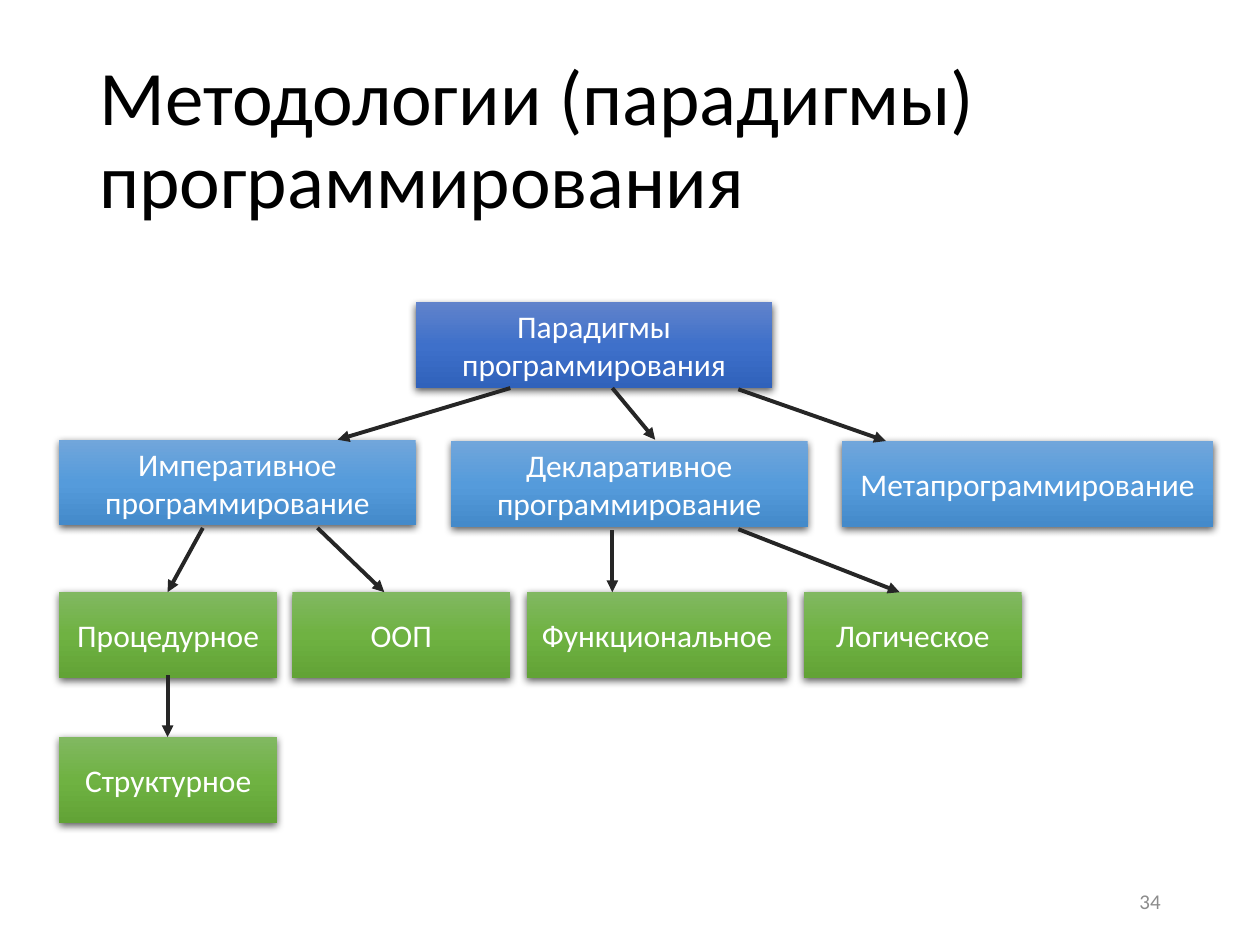
"""Build a slide with a tree of programming paradigms."""
from typing import NamedTuple

from pptx import Presentation
from pptx.dml.color import RGBColor
from pptx.enum.shapes import MSO_CONNECTOR, MSO_SHAPE
from pptx.enum.text import MSO_ANCHOR, PP_ALIGN
from pptx.oxml import parse_xml
from pptx.oxml.ns import nsdecls, qn
from pptx.util import Inches, Pt

STRAIGHT = MSO_CONNECTOR.STRAIGHT
RECTANGLE = MSO_SHAPE.RECTANGLE
MIDDLE = MSO_ANCHOR.MIDDLE
LEFT, CENTER, RIGHT = PP_ALIGN.LEFT, PP_ALIGN.CENTER, PP_ALIGN.RIGHT

FONT = "Calibri"
BLACK, WHITE, GRAY, ARROW_COLOR = "000000", "FFFFFF", "8C8C8C", "262626"
ROOT_SHADES = ("6183CB", "3E70CA", "3062BB")
BRANCH_SHADES = ("71A6DB", "559BDB", "448ACA")
LEAF_SHADES = ("81B861", "6FB242", "62A336")
NODE_HEIGHT = 0.68
WIDE, NARROW = 2.83, 1.73
FIRST_LEFT = 0.47
LEAF_TOP = 4.7
LAST_TOP = 5.85


class Node(NamedTuple):
    """A labelled box of the tree."""
    label: str
    left: float
    top: float
    width: float
    shades: tuple[str, str, str]


class Arrow(NamedTuple):
    """An arrow between two points."""
    start_x: float
    start_y: float
    end_x: float
    end_y: float


NODES = (
    Node("Парадигмы программирования", 3.3, 2.4, WIDE, ROOT_SHADES),
    Node("Императивное программирование", FIRST_LEFT, 3.49, WIDE, BRANCH_SHADES),
    Node("Декларативное программирование", 3.58, 3.5, WIDE, BRANCH_SHADES),
    Node("Метапрограммирование", 6.68, 3.5, 2.95, BRANCH_SHADES),
    Node("Процедурное", FIRST_LEFT, LEAF_TOP, NARROW, LEAF_SHADES),
    Node("Структурное", FIRST_LEFT, LAST_TOP, NARROW, LEAF_SHADES),
    Node("ООП", 2.32, LEAF_TOP, NARROW, LEAF_SHADES),
    Node("Функциональное", 4.18, LEAF_TOP, 2.07, LEAF_SHADES),
    Node("Логическое", 6.38, LEAF_TOP, NARROW, LEAF_SHADES),
)

ARROWS = (
    Arrow(4.05, 3.08, 2.68, 3.49),
    Arrow(4.86, 3.08, 5.2, 3.49),
    Arrow(5.86, 3.09, 7.03, 3.5),
    Arrow(1.61, 4.19, 1.33, LEAF_TOP),
    Arrow(2.52, 4.19, 3.05, LEAF_TOP),
    Arrow(1.33, 5.36, 1.33, LAST_TOP),
    Arrow(4.86, 4.21, 4.86, LEAF_TOP),
    Arrow(5.86, 4.2, 7.14, LEAF_TOP),
)


def rgb(color: str) -> RGBColor:
    """Turn a hex string into a colour."""
    return RGBColor.from_string(color)


def write_text(box, text: str, size: float, color: str, align, spacing: float = 1.0) -> None:
    """Write one vertically centred paragraph into a shape."""
    frame = box.text_frame
    frame.word_wrap = True
    frame.vertical_anchor = MIDDLE
    para = frame.paragraphs[0]
    para.alignment = align
    para.line_spacing = spacing
    span = para.add_run()
    span.text = text
    span.font.name = FONT
    span.font.size = Pt(size)
    span.font.color.rgb = rgb(color)


def shade(box, shades: tuple[str, str, str]) -> None:
    """Give a shape a downward gradient and a soft shadow."""
    box.fill.background()
    box.line.fill.background()
    box.shadow.inherit = False
    stops = "".join(
        f'<a:gs pos="{index * 50000}"><a:srgbClr val="{color}"/></a:gs>'
        for index, color in enumerate(shades)
    )
    gradient = parse_xml(
        f'<a:gradFill {nsdecls("a")} rotWithShape="1"><a:gsLst>{stops}</a:gsLst>'
        '<a:lin ang="5400000" scaled="0"/></a:gradFill>'
    )
    shadow = parse_xml(
        f'<a:outerShdw {nsdecls("a")} blurRad="{Pt(4.5)}" dist="{Pt(1.5)}" dir="5400000" '
        'algn="ctr" rotWithShape="0"><a:srgbClr val="000000"><a:alpha val="63000"/>'
        '</a:srgbClr></a:outerShdw>'
    )
    properties = box._element.spPr
    properties.replace(properties.find(qn("a:noFill")), gradient)
    properties.find(qn("a:effectLst")).append(shadow)


def draw_node(page, node: Node) -> None:
    """Draw a labelled box."""
    box = page.shapes.add_shape(
        RECTANGLE, Inches(node.left), Inches(node.top), Inches(node.width), Inches(NODE_HEIGHT)
    )
    shade(box, node.shades)
    write_text(box, node.label, 18, WHITE, CENTER)


def draw_arrow(page, arrow: Arrow) -> None:
    """Draw a line with a triangular head at its end."""
    connector = page.shapes.add_connector(STRAIGHT, *(Inches(value) for value in arrow))
    connector.line.color.rgb = rgb(ARROW_COLOR)
    connector.line.width = Pt(2.25)
    connector.line._get_or_add_ln().append(
        parse_xml(f'<a:tailEnd {nsdecls("a")} type="triangle"/>')
    )
    connector._element.spPr.append(parse_xml(f'<a:effectLst {nsdecls("a")}/>'))


def main() -> None:
    """Build and save the deck."""
    deck = Presentation()
    deck.slide_width, deck.slide_height = Inches(10), Inches(7.5)
    page = deck.slides.add_slide(deck.slide_layouts[6])
    title = page.shapes.add_textbox(Inches(0.69), Inches(0.4), Inches(8.62), Inches(1.45))
    write_text(title, "Методологии (парадигмы) программирования", 44, BLACK, LEFT, 0.9)
    number = page.shapes.add_textbox(Inches(7.06), Inches(6.95), Inches(2.25), Inches(0.4))
    write_text(number, "34", 12, GRAY, RIGHT)
    for node in NODES:
        draw_node(page, node)
    for arrow in ARROWS:
        draw_arrow(page, arrow)
    deck.save("out.pptx")


if __name__ == "__main__":
    main()
